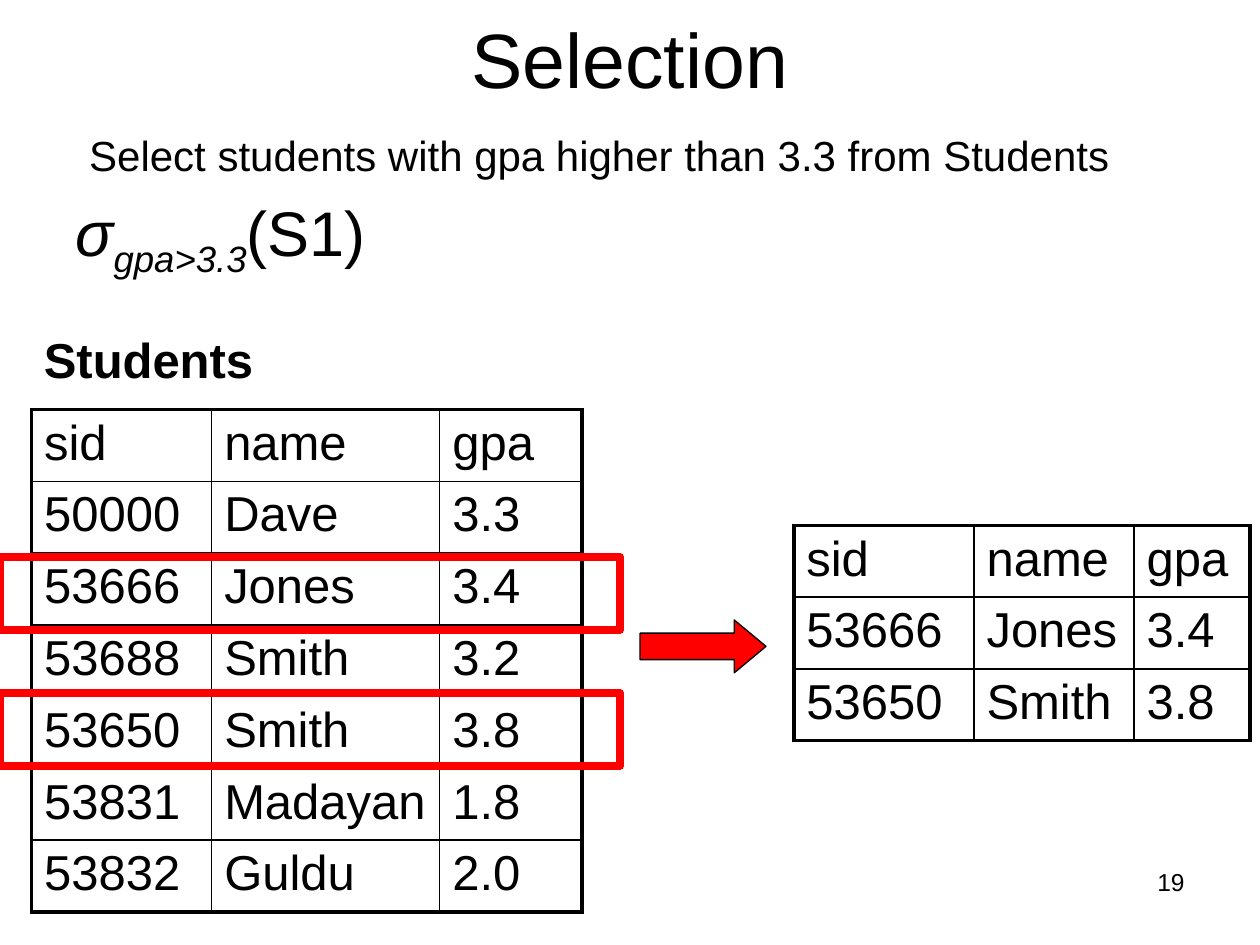
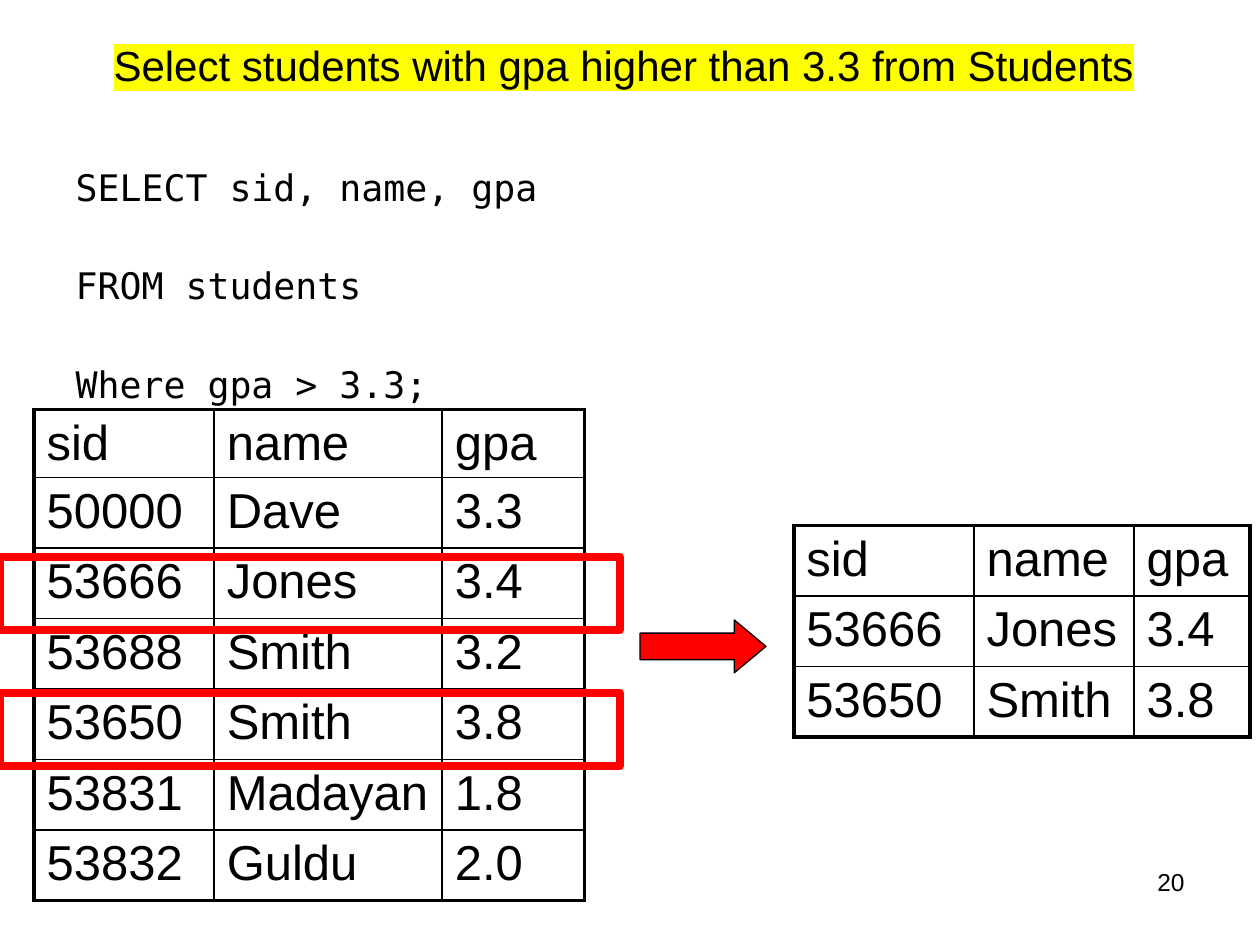
from lxml import etree
from pptx import Presentation
from pptx.dml.color import RGBColor
from pptx.enum.shapes import MSO_SHAPE
from pptx.enum.text import MSO_ANCHOR, MSO_AUTO_SIZE, PP_ALIGN
from pptx.oxml.ns import qn
from pptx.util import Inches, Pt

BLACK = RGBColor(0x00, 0x00, 0x00)
RED = RGBColor(0xFF, 0x00, 0x00)
YELLOW = RGBColor(0xFF, 0xFF, 0x00)

RECTANGLE = MSO_SHAPE.RECTANGLE
RIGHT_ARROW = MSO_SHAPE.RIGHT_ARROW
CENTER, RIGHT = PP_ALIGN.CENTER, PP_ALIGN.RIGHT
MIDDLE = MSO_ANCHOR.MIDDLE
NO_AUTOFIT = MSO_AUTO_SIZE.NONE

TITLE_AND_CONTENT = 1
SANS, MONO = "Arial", "DejaVu Sans Mono"
OUTER_BORDER, INNER_BORDER = Pt(2.25), Pt(1)

QUERY = "Select students with gpa higher than 3.3 from Students"
HEADER = ("sid", "name", "gpa")
STUDENTS = [
    ("50000", "Dave", "3.3"),
    ("53666", "Jones", "3.4"),
    ("53688", "Smith", "3.2"),
    ("53650", "Smith", "3.8"),
    ("53831", "Madayan", "1.8"),
    ("53832", "Guldu", "2.0"),
]
SELECTED = [student for student in STUDENTS if float(student[2]) > 3.3]
STUDENT_COLUMNS = (1.43, 1.81, 1.13)
SELECTED_COLUMNS = (1.43, 1.27, 0.92)


class Deck:
    """Holds the presentation, its style and the slide being built."""

    def __init__(self):
        self.presentation = Presentation()
        self.presentation.slide_width = Inches(10)
        self.presentation.slide_height = Inches(7.5)
        self.slide = None

    def add_slide(self):
        layout = self.presentation.slide_layouts[TITLE_AND_CONTENT]
        self.slide = self.presentation.slides.add_slide(layout)

    @staticmethod
    def place(shape, left, top, width, height):
        shape.left, shape.top = Inches(left), Inches(top)
        shape.width, shape.height = Inches(width), Inches(height)

    @staticmethod
    def style_run(run, size, name=SANS, bold=False, italic=False, subscript=False):
        font = run.font
        font.name, font.size = name, Pt(size)
        font.bold, font.italic = bold, italic
        font.color.rgb = BLACK
        if subscript:
            run._r.get_or_add_rPr().set("baseline", "-25000")

    @staticmethod
    def highlight(run, color):
        fill = run._r.get_or_add_rPr().find(qn("a:solidFill"))
        mark = etree.Element(qn("a:highlight"))
        etree.SubElement(mark, qn("a:srgbClr"), val=str(color))
        fill.addnext(mark)

    def title(self, text, position, size, highlight=None):
        title = self.slide.shapes.title
        self.place(title, *position)
        frame = title.text_frame
        frame.auto_size, frame.vertical_anchor = NO_AUTOFIT, MIDDLE
        frame.text = text
        paragraph = frame.paragraphs[0]
        paragraph.alignment = CENTER
        self.style_run(paragraph.runs[0], size)
        if highlight:
            self.highlight(paragraph.runs[0], highlight)

    def body(self, height, paragraphs):
        """Fill the body; each paragraph is a list of (text, run style)."""
        body = self.slide.placeholders[1]
        self.place(body, 0.5, 0.92, 8.92, height)
        frame = body.text_frame
        frame.auto_size = NO_AUTOFIT
        for index, runs in enumerate(paragraphs):
            paragraph = frame.add_paragraph() if index else frame.paragraphs[0]
            etree.SubElement(paragraph._p.get_or_add_pPr(), qn("a:buNone"))
            for text, style in runs:
                run = paragraph.add_run()
                run.text = text
                self.style_run(run, **style)

    def label(self, text, position, size, bold=False, alignment=None):
        box = self.slide.shapes.add_textbox(*map(Inches, position))
        frame = box.text_frame
        frame.word_wrap = True
        frame.text = text
        paragraph = frame.paragraphs[0]
        paragraph.alignment = alignment
        self.style_run(paragraph.runs[0], size, bold=bold)

    @staticmethod
    def cell_borders(cell, widths):
        """Draw the left, right, top and bottom borders, in that order."""
        properties = cell._tc.get_or_add_tcPr()
        for index, (side, width) in enumerate(zip("LRTB", widths)):
            line = etree.Element(qn(f"a:ln{side}"), w=str(width))
            fill = etree.SubElement(line, qn("a:solidFill"))
            etree.SubElement(fill, qn("a:srgbClr"), val=str(BLACK))
            properties.insert(index, line)

    def table(self, students, left, top, columns, row_height, header_height):
        rows = [HEADER, *students]
        height = header_height + row_height * len(students)
        table = self.slide.shapes.add_table(
            len(rows), len(columns), Inches(left), Inches(top),
            Inches(sum(columns)), Inches(height)).table
        table.first_row = table.horz_banding = False
        for column, width in zip(table.columns, columns):
            column.width = Inches(width)
        last_row, last_column = len(rows) - 1, len(columns) - 1
        for row_index, values in enumerate(rows):
            table.rows[row_index].height = Inches(row_height if row_index else header_height)
            for column_index, value in enumerate(values):
                cell = table.cell(row_index, column_index)
                cell.fill.background()
                cell.text_frame.text = value
                self.style_run(cell.text_frame.paragraphs[0].runs[0], 28)
                on_edge = (column_index == 0, column_index == last_column,
                           row_index == 0, row_index == last_row)
                self.cell_borders(
                    cell, [OUTER_BORDER if edge else INNER_BORDER for edge in on_edge])

    def shape(self, kind, position, line_color, line_width, fill=None):
        shape = self.slide.shapes.add_shape(kind, *map(Inches, position))
        shape.shadow.inherit = False
        shape.line.color.rgb = line_color
        shape.line.width = Pt(line_width)
        if fill is None:
            shape.fill.background()
        else:
            shape.fill.solid()
            shape.fill.fore_color.rgb = fill
        return shape

    def selection_example(self, number, students_left, row_height, header_height):
        """Show the students, the marked rows and the rows selected from them."""
        self.table(STUDENTS, students_left, 3.25, STUDENT_COLUMNS, row_height, header_height)
        for top in (4.42, 5.5):
            self.shape(RECTANGLE, (0, top, 4.92, 0.58), RED, 4.5)
        self.table(SELECTED, 6.3, 4.17, SELECTED_COLUMNS, row_height, row_height)
        arrow = self.shape(RIGHT_ARROW, (5.08, 4.92, 1, 0.42), BLACK, 0.75, fill=RED)
        arrow.adjustments[1] = 0.6
        self.label(str(number), (7.17, 6.83, 2.33, 0.52), 14, alignment=RIGHT)


def add_algebra_slide(deck):
    deck.add_slide()
    deck.title("Selection", (0.5, -0.17, 9, 1.25), 44)
    deck.body(1.33, [
        [(" ", {"size": 28}), (QUERY, {"size": 24})],
        [("σ", {"size": 36, "italic": True}),
         ("gpa>3.3", {"size": 36, "italic": True, "subscript": True}),
         ("(S1)", {"size": 36})],
    ])
    deck.label("Students", (0.25, 2.57, 2.17, 0.57), 28, bold=True)
    deck.selection_example(19, 0.25, row_height=0.57, header_height=0.57)


def add_sql_slide(deck):
    deck.add_slide()
    deck.title(QUERY, (0.45, 0.12, 9, 0.79), 24, highlight=YELLOW)
    code = {"size": 36, "name": MONO, "subscript": True}
    statement = ("SELECT sid, name, gpa", "FROM students", "Where gpa > 3.3;")
    deck.body(2, [[(line, code)] for line in statement])
    deck.selection_example(20, 0.27, row_height=0.56, header_height=0.54)


def main():
    deck = Deck()
    add_algebra_slide(deck)
    add_sql_slide(deck)
    deck.presentation.save("out.pptx")


if __name__ == "__main__":
    main()
